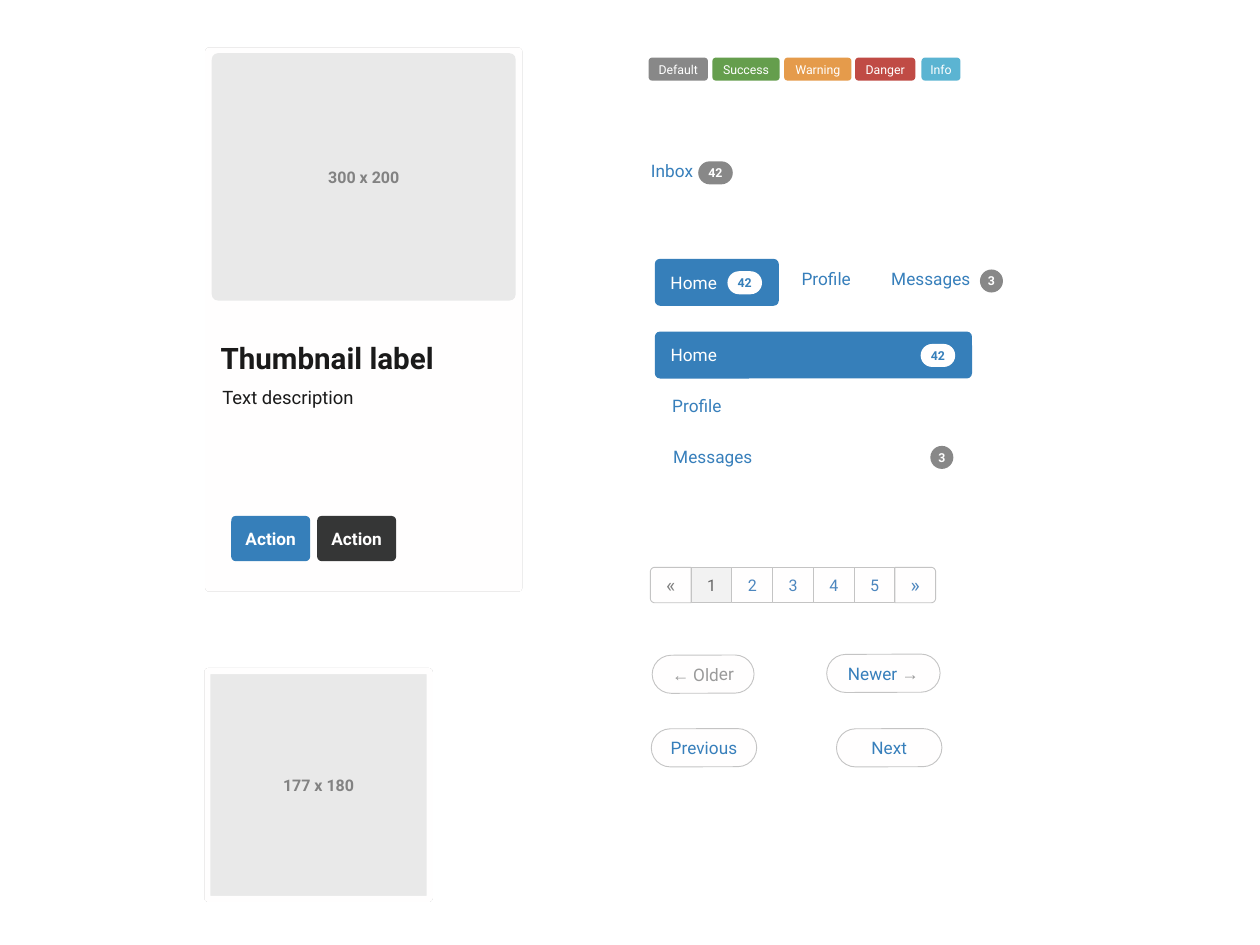
from math import cos, radians, sin

from lxml.etree import SubElement
from pptx import Presentation
from pptx.dml.color import RGBColor
from pptx.enum.shapes import MSO_SHAPE
from pptx.enum.text import MSO_ANCHOR, PP_ALIGN
from pptx.oxml.ns import qn
from pptx.util import Inches, Pt

COLORS = {
    "white": "FFFFFF", "paper": "FFFEFE", "blue": "367FBA", "link": "377FBB",
    "page": "4C86BE", "gray": "888888", "dark": "353636", "green": "659E4D",
    "orange": "E59B4B", "red": "C04B45", "cyan": "5BB4D2", "image": "E9E9E9",
    "caption": "828282", "ink": "1A1A1A", "border": "C4C4C4", "muted": "9A9A9A",
    "current": "F2F2F2", "current_text": "676767", "arrow": "808080", "black": "000000",
}


def rgb(name):
    return RGBColor.from_string(COLORS[name])


def write_text(paragraph, text, size=14, color="white", bold=False, font="Roboto"):
    run = paragraph.add_run()
    run.text = text
    run.font.size = Pt(size)
    run.font.bold = bold
    run.font.name = font
    run.font.color.rgb = rgb(color)


class UiKit:
    def __init__(self, slide):
        self.shapes = slide.shapes

    def prepare(self, shape, align=PP_ALIGN.CENTER, inset=0, wrap=True):
        frame = shape.text_frame
        frame.margin_left = Inches(inset)
        frame.margin_right = frame.margin_top = frame.margin_bottom = 0
        frame.vertical_anchor = MSO_ANCHOR.MIDDLE
        frame.word_wrap = wrap
        paragraph = frame.paragraphs[0]
        paragraph.alignment = align
        return paragraph

    def paint(self, shape, fill, line=None, width=0.75):
        shape.shadow.inherit = False
        shape.fill.solid()
        shape.fill.fore_color.rgb = rgb(fill)
        if line:
            shape.line.color.rgb = rgb(line)
            shape.line.width = Pt(width)
        else:
            shape.line.fill.background()

    def box(self, x, y, w, h, fill, radius=0, line=None, width=0.75):
        preset = MSO_SHAPE.ROUNDED_RECTANGLE if radius else MSO_SHAPE.RECTANGLE
        shape = self.shapes.add_shape(preset, Inches(x), Inches(y), Inches(w), Inches(h))
        if radius:
            shape.adjustments[0] = min(0.5, radius / min(w, h))
        self.paint(shape, fill, line, width)
        return shape

    def frame(self, x, y, w, h, fill):
        shape = self.box(x, y, w, h, fill, 0.01, "paper", 5)
        effects = shape._element.spPr.find(qn("a:effectLst"))
        shadow = SubElement(effects, qn("a:outerShdw"), blurRad="0", dist="0", dir="0",
                            algn="ctr", rotWithShape="0")
        tone = SubElement(shadow, qn("a:srgbClr"), val=COLORS["black"])
        SubElement(tone, qn("a:alpha"), val="30000")
        return shape

    def button(self, x, y, w, h, text, fill, radius=0.05, line=None, **style):
        shape = self.box(x, y, w, h, fill, radius, line)
        write_text(self.prepare(shape), text, **style)

    def badge(self, x, y, w, text, fill="gray", color="white"):
        self.button(x, y, w, 0.26, text, fill, 0.13, size=10, color=color, bold=True)

    def home(self, y, w):
        shape = self.box(7.39, y, w, 0.53, "blue", 0.06)
        write_text(self.prepare(shape, PP_ALIGN.LEFT, 0.16), "Home")
        self.badge(7.39 + w - 0.58, y + 0.14, 0.39, "42", "paper", "blue")

    def label(self, x, y, w, h, text, align=PP_ALIGN.CENTER, **style):
        area = self.shapes.add_textbox(Inches(x), Inches(y), Inches(w), Inches(h))
        write_text(self.prepare(area, align, wrap=False), text, **style)

    def pill(self, x, y, w, runs):
        shape = self.box(x, y, w, 0.43, "paper", 0.22, "border")
        shape.rotation = -0.2
        paragraph = self.prepare(shape)
        for text, style in runs:
            write_text(paragraph, text, **style)

    def page_end(self, x, y, w, h, text, color, mirrored=False):
        r = 0.05
        arcs = [(r, r, 270), (r, h - r, 180)]
        points = [(w, 0)]
        for cx, cy, start in arcs:
            for step in range(7):
                angle = radians(start - 15 * step)
                points.append((cx + r * cos(angle), cy + r * sin(angle)))
        points.append((w, h))
        placed = [(Inches(x + (w - px if mirrored else px)), Inches(y + py))
                  for px, py in points]
        builder = self.shapes.build_freeform(*placed[0])
        builder.add_line_segments(placed[1:], close=True)
        shape = builder.convert_to_shape()
        self.paint(shape, "paper", "border")
        write_text(self.prepare(shape), text, size=16, color=color)


def draw_thumbnails(kit):
    caption = dict(size=13, color="caption", bold=True)
    small = kit.frame(2.34, 7.57, 2.51, 2.57, "image")
    write_text(kit.prepare(small), "177 x 180", **caption)
    kit.frame(2.35, 0.57, 3.51, 6.07, "paper")
    kit.button(2.39, 0.6, 3.43, 2.79, "300 x 200", "image", 0.07, **caption)
    kit.label(2.49, 3.84, 2.5, 0.4, "Thumbnail label", PP_ALIGN.LEFT,
              size=24, color="ink", bold=True)
    kit.label(2.51, 4.35, 1.6, 0.25, "Text description", PP_ALIGN.LEFT, size=15, color="ink")
    for x, fill in [(3.58, "dark"), (2.61, "blue")]:
        kit.button(x, 5.82, 0.89, 0.51, "Action", fill, bold=True)


def draw_labels(kit):
    tags = [(7.32, 0.67, "Default", "gray"), (8.04, 0.76, "Success", "green"),
            (8.85, 0.76, "Warning", "orange"), (9.65, 0.68, "Danger", "red"),
            (10.4, 0.44, "Info", "cyan")]
    for x, w, text, fill in tags:
        kit.button(x, 0.65, w, 0.26, text, fill, 0.04, size=10)


def draw_navigation(kit):
    kit.home(2.92, 1.4)
    kit.home(3.74, 3.58)
    links = [(7.32, 1.81, 0.53, "Inbox"), (9.03, 3.03, 0.59, "Profile"),
             (10.05, 3.03, 0.91, "Messages"), (7.57, 4.46, 0.59, "Profile"),
             (7.59, 5.04, 0.91, "Messages")]
    for x, y, w, text in links:
        kit.label(x, y, w, 0.23, text, color="link")
    kit.badge(7.88, 1.82, 0.39, "42")
    kit.badge(11.06, 3.04, 0.26, "3")
    kit.badge(10.5, 5.03, 0.26, "3")


def draw_pagination(kit):
    first, top, pitch, height = 7.8, 6.4, 0.46, 0.4
    kit.page_end(first - pitch, top, pitch, height, "«", "arrow")
    kit.page_end(first + 5 * pitch, top, pitch, height, "»", "page", mirrored=True)
    for number in range(5, 0, -1):
        fill, color = ("current", "current_text") if number == 1 else ("paper", "page")
        kit.button(first + (number - 1) * pitch, top, pitch, height, str(number), fill, 0,
                   "border", size=13, color=color)


def draw_pager(kit):
    link, muted = dict(color="link"), dict(color="muted")
    arrow = dict(color="muted", font="Arial")
    kit.pill(7.36, 7.39, 1.15, [("←", arrow), (" ", dict(muted, size=12)), ("Older", muted)])
    kit.pill(9.33, 7.38, 1.28, [("Newer ", link), ("→", arrow)])
    kit.pill(7.35, 8.22, 1.19, [("Previous", link)])
    kit.pill(9.44, 8.22, 1.19, [("Next", link)])


def main():
    deck = Presentation()
    deck.slide_width, deck.slide_height = Inches(14.22), Inches(10.66)
    kit = UiKit(deck.slides.add_slide(deck.slide_layouts[6]))
    for draw in (draw_thumbnails, draw_labels, draw_navigation, draw_pagination, draw_pager):
        draw(kit)
    deck.save("out.pptx")


if __name__ == "__main__":
    main()
